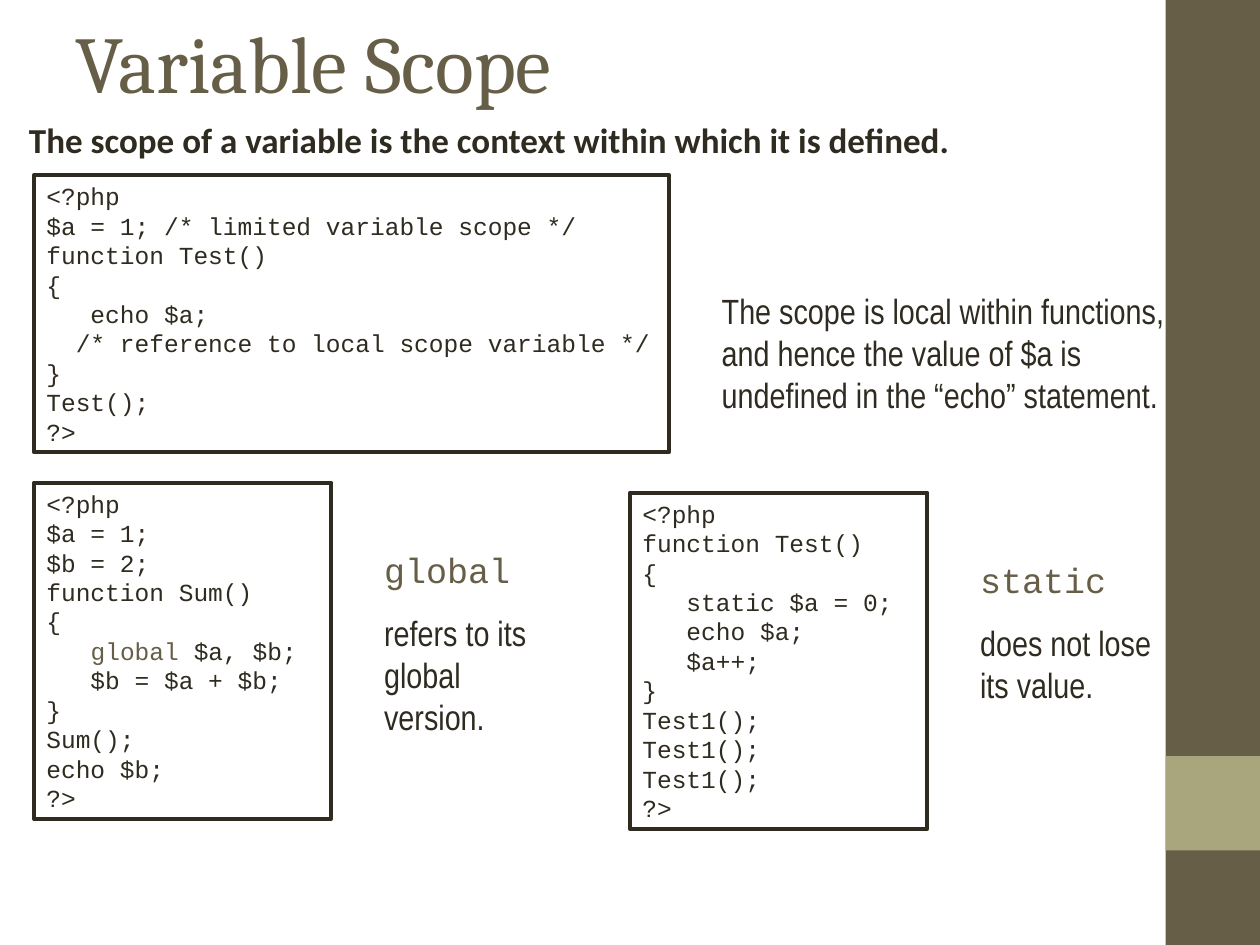
"""Build the slide on PHP variable scope, with three code samples and their notes."""
import pptx
import pptx.util
import pptx.dml.color
import pptx.enum.shapes
import pptx.enum.text

THEME = {
    "accent": "675E47",
    "ink": "2F2B20",
    "light": "A9A57C",
    "border": 2.25,
    "title": {"name": "Cambria", "size": 46, "color": "675E47"},
    "lead": {"name": "Calibri", "size": 20, "color": "2F2B20", "bold": True},
    "note": {"name": "Arial Narrow", "size": 20, "color": "2F2B20"},
    "keyword": {"name": "Courier New", "size": 20, "color": "675E47"},
    "code": {"name": "Courier New", "size": 14, "color": "2F2B20"},
    "marked": {"name": "Courier New", "size": 14, "color": "675E47"},
}

TITLE = "Variable Scope"
LEAD = "The scope of a variable is the context within which it is defined."

LOCAL_CODE = """<?php
$a = 1; /* limited variable scope */
function Test()
{
   echo $a;
  /* reference to local scope variable */
}
Test();
?>"""
LOCAL_NOTE = ("The scope is local within functions, and hence the value of $a "
              "is undefined in the “echo” statement.")

GLOBAL_CODE = """<?php
$a = 1;
$b = 2;
function Sum()
{
   global $a, $b;
   $b = $a + $b;
}
Sum();
echo $b;
?>"""

STATIC_CODE = """<?php
function Test()
{
   static $a = 0;
   echo $a;
   $a++;
}
Test1();
Test1();
Test1();
?>"""

SAMPLES = [
    {"code": LOCAL_CODE, "marked": None, "at": (2.7, 18.53), "size": (50.4, 29.33),
     "note": [(LOCAL_NOTE, "note")], "shift": (53.6, 11.47), "note_size": (39.4, 14.67)},
    {"code": GLOBAL_CODE, "marked": "global", "at": (2.7, 51.07), "size": (23.6, 35.6),
     "note": [("global", "keyword"), ("refers to its global version.", "note")],
     "shift": (26.8, 6.27), "note_size": (16.5, 21.47)},
    {"code": STATIC_CODE, "marked": None, "at": (50, 52.13), "size": (23.6, 35.6),
     "note": [("static", "keyword"), ("does not lose its value.", "note")],
     "shift": (26.8, 6.27), "note_size": (18.1, 17.07)},
]
SIDEBAR = [((92.5, 0, 7.5, 100), "accent"), ((92.5, 80, 7.5, 10), "light")]

WIDTH, HEIGHT = pptx.util.Inches(10), pptx.util.Inches(7.5)
RECTANGLE = pptx.enum.shapes.MSO_SHAPE.RECTANGLE


def color(value):
    return pptx.dml.color.RGBColor.from_string(value)


def place(left, top, width, height):
    """Turn percentages of the slide into lengths."""
    shares = (left, WIDTH), (top, HEIGHT), (width, WIDTH), (height, HEIGHT)
    return [round(share * full / 100) for share, full in shares]


def write(box, lines, anchor="TOP", **layout):
    """Fill a box with lines, each a list of (text, style) spans."""
    frame = box.text_frame
    settings = {"word_wrap": True, "auto_size": pptx.enum.text.MSO_AUTO_SIZE.NONE,
                "vertical_anchor": getattr(pptx.enum.text.MSO_ANCHOR, anchor)}
    for name, value in settings.items():
        setattr(frame, name, value)
    for index, line in enumerate(lines):
        para = frame.add_paragraph() if index else frame.paragraphs[0]
        para.alignment = pptx.enum.text.PP_ALIGN.LEFT
        gap = layout.get("gap", 0) if index else 0
        para.space_before = pptx.util.Pt(gap)
        para.line_spacing = layout.get("spacing", 1.0)
        for text, style in line:
            span = para.add_run()
            span.text = text
            for name, value in THEME[style].items():
                if name == "color":
                    span.font.color.rgb = color(value)
                else:
                    setattr(span.font, name, pptx.util.Pt(value) if name == "size" else value)


def code_spans(line, marked):
    """Split a code line around its marked word."""
    if not marked or marked not in line:
        return [(line, "code")]
    before, word, after = line.partition(marked)
    return [(before, "code"), (word, "marked"), (after, "code")]


def add_sample(page, sample):
    (left, top), (right, down) = sample["at"], sample["shift"]
    box = page.shapes.add_shape(RECTANGLE, *place(left, top, *sample["size"]))
    box.shadow.inherit = False
    box.fill.background()
    box.line.color.rgb = color(THEME["ink"])
    box.line.width = pptx.util.Pt(THEME["border"])
    write(box, [code_spans(line, sample["marked"]) for line in sample["code"].split("\n")])
    note = page.shapes.add_textbox(*place(left + right, top + down, *sample["note_size"]))
    write(note, [[span] for span in sample["note"]], gap=12.5)


def main():
    deck = pptx.Presentation()
    deck.slide_width, deck.slide_height = WIDTH, HEIGHT
    page = deck.slides.add_slide(deck.slide_layouts.get_by_name("Title Only"))

    for area, tone in SIDEBAR:
        bar = page.shapes.add_shape(RECTANGLE, *place(*area))
        bar.shadow.inherit = False
        bar.fill.solid()
        bar.fill.fore_color.rgb = color(THEME[tone])
        bar.line.fill.background()

    title = page.shapes.title
    title.left, title.top, title.width, title.height = place(5, 4, 83.3, 4.93)
    write(title, [[(TITLE, "title")]], anchor="MIDDLE")

    lead = page.shapes.add_textbox(*place(0, 12.4, 100, 6))
    lead.text_frame.margin_left = pptx.util.Inches(0.23)
    write(lead, [[(LEAD, "lead")]], spacing=0.9)

    for sample in SAMPLES:
        add_sample(page, sample)
    deck.save("out.pptx")


if __name__ == "__main__":
    main()
